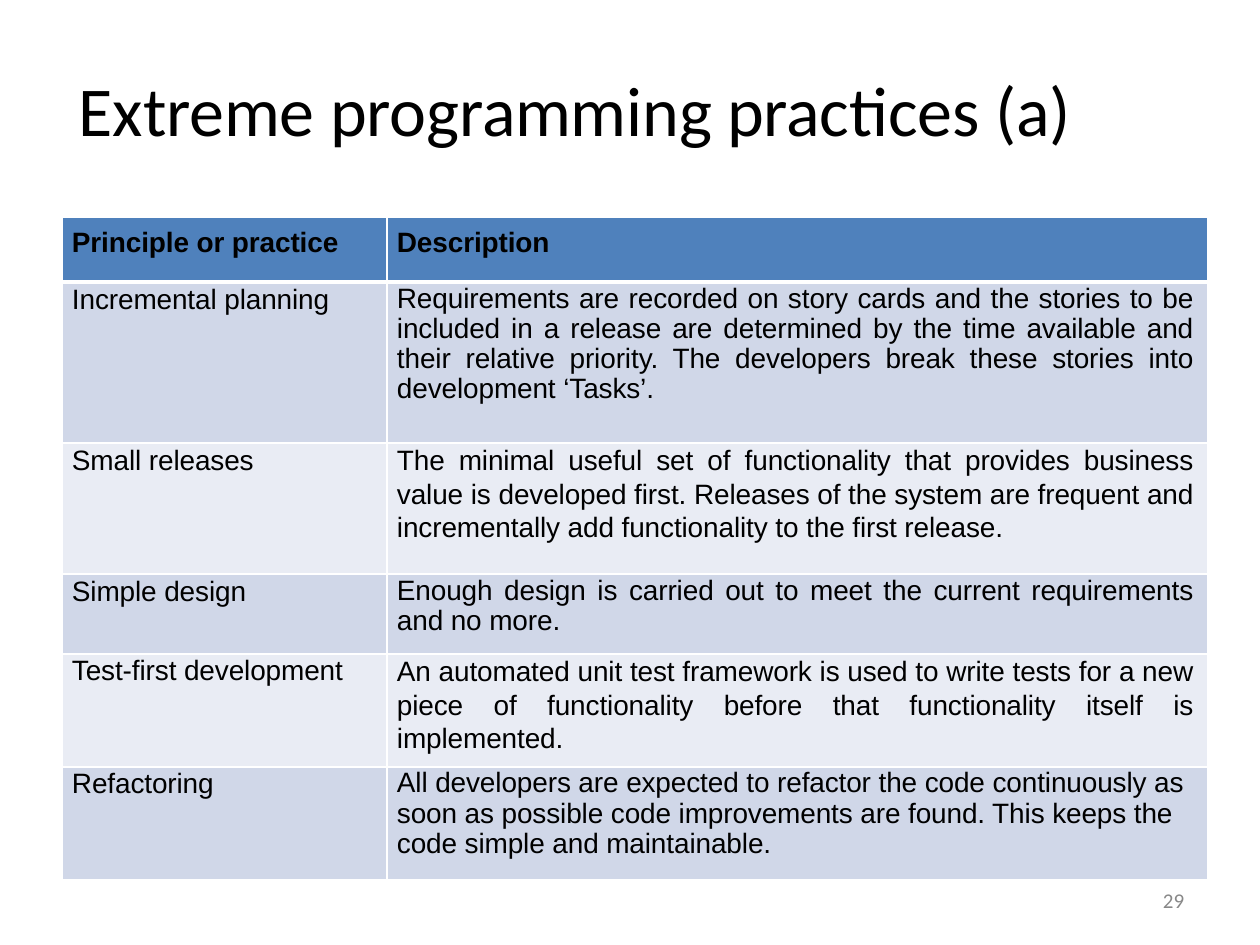
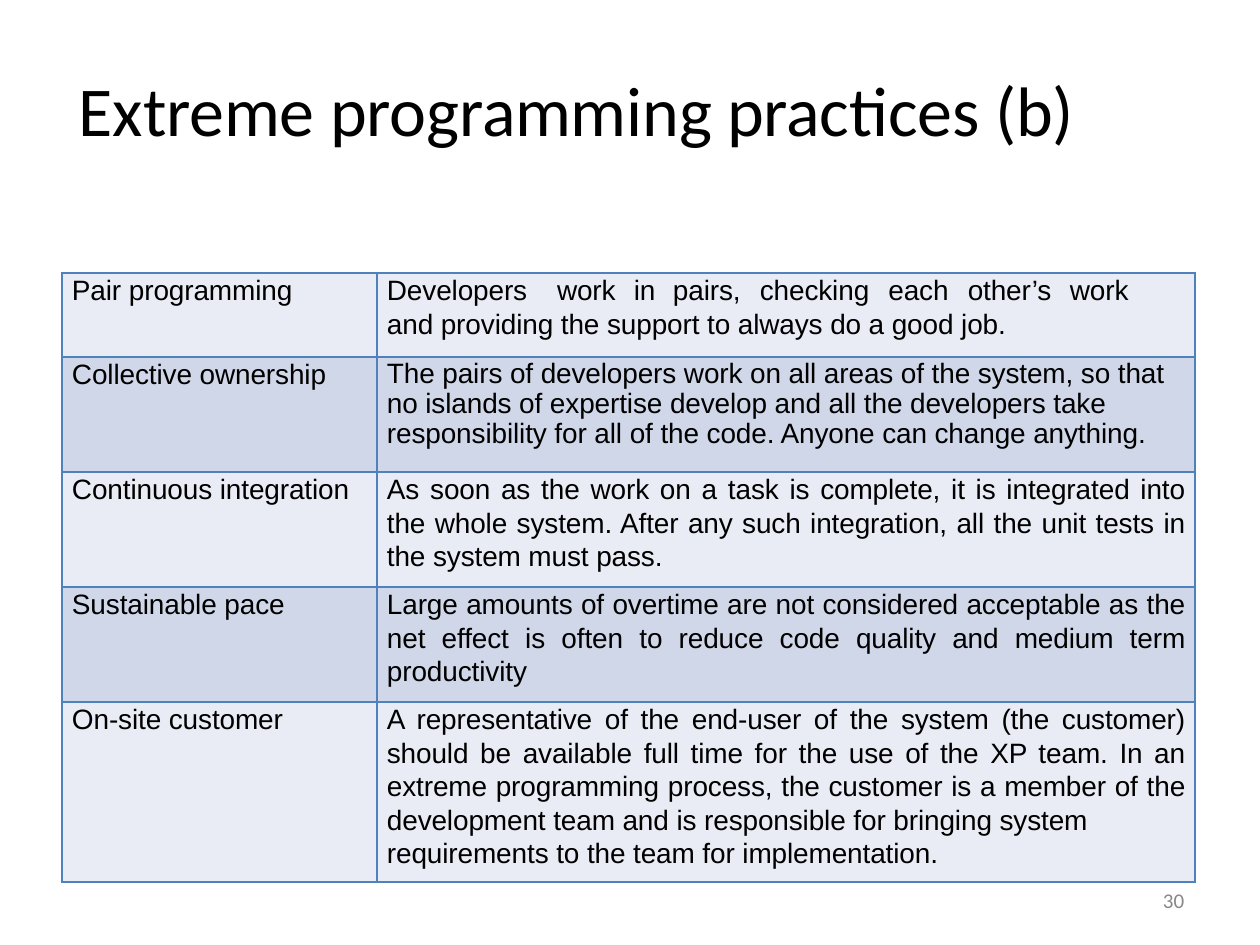
from lxml import etree
from pptx import Presentation
from pptx.dml.color import RGBColor
from pptx.enum import text
from pptx.oxml import ns
from pptx.util import Pt

PX = 914400 // 126
BLACK = RGBColor(0x00, 0x00, 0x00)
WHITE = RGBColor(0xFF, 0xFF, 0xFF)
GREY = RGBColor(0x88, 0x88, 0x88)
BLUE = RGBColor(0x4F, 0x81, 0xBC)
DARK_BAND = RGBColor(0xD0, 0xD7, 0xE8)
LIGHT_BAND = RGBColor(0xE9, 0xEC, 0xF4)

LEFT = text.PP_ALIGN.LEFT
JUSTIFY = text.PP_ALIGN.JUSTIFY
TIGHT = 0.97
LABEL = Pt(18.9)
LOOSE = Pt(19.2)
INDENT = 10
WORD_STOPS = (1.35, 1.96, 2.27, 2.96, 3.98, 4.61, 5.42)

PRACTICES_A = [
    ("Incremental planning", TIGHT, JUSTIFY,
     "Requirements are recorded on story cards and the stories to be "
     "included in a release are determined by the time available and "
     "their relative priority. The developers break these stories into "
     "development ‘Tasks’."),
    ("Small releases", LOOSE, JUSTIFY,
     "The minimal useful set of functionality that provides business "
     "value is developed first. Releases of the system are frequent "
     "and incrementally add functionality to the first release."),
    ("Simple design", TIGHT, JUSTIFY,
     "Enough design is carried out to meet the current requirements "
     "and no more."),
    ("Test-first development", LOOSE, JUSTIFY,
     "An automated unit test framework is used to write tests for a "
     "new piece of functionality before that functionality itself is "
     "implemented."),
    ("Refactoring", TIGHT, LEFT,
     "All developers are expected to refactor the code continuously as "
     "soon as possible code improvements are found. This keeps the "
     "code simple and maintainable."),
]
PRACTICES_B = [
    ("Pair programming", LOOSE, LEFT,
     "Developers\twork\tin\tpairs,\tchecking\teach\tother’s\twork\v"
     "and providing the support to always do a good job."),
    ("Collective ownership", TIGHT, LEFT,
     "The pairs of developers work on all areas of the system, so that "
     "no islands of expertise develop and all the developers take "
     "responsibility for all of the code. Anyone can change anything."),
    ("Continuous integration", LOOSE, JUSTIFY,
     "As soon as the work on a task is complete, it is integrated into "
     "the whole system. After any such integration, all the unit tests in "
     "the system must pass."),
    ("Sustainable pace", LOOSE, JUSTIFY,
     "Large amounts of overtime are not considered acceptable as "
     "the net effect is often to reduce code quality and medium term "
     "productivity"),
    ("On-site customer", LOOSE, JUSTIFY,
     "A representative of the end-user of the system (the customer) "
     "should be available full time for the use of the XP team. In an "
     "extreme programming process, the customer is a member of the "
     "development team and is responsible for bringing system\n"
     "requirements to the team for implementation."),
]


def add_tab_stops(para, stops):
    tab_list = etree.SubElement(para._p.get_or_add_pPr(), ns.qn("a:tabLst"))
    for stop in stops:
        etree.SubElement(tab_list, ns.qn("a:tab"), pos=str(round(stop * 914400)), algn="l")


def write(frame, content, size=16, font="Arial", color=BLACK, bold=False,
          align=LEFT, spacing=None, tracking=-5):
    frame.word_wrap = True
    for number, line in enumerate(content.split("\n")):
        para = frame.add_paragraph() if number else frame.paragraphs[0]
        para.text = line
        para.alignment = align
        para.line_spacing = spacing
        if "\t" in line:
            add_tab_stops(para, WORD_STOPS)
        for span in para.runs:
            span.font.size = Pt(size)
            span.font.name = font
            span.font.color.rgb = color
            span.font.bold = bold
            span._r.get_or_add_rPr().set("spc", str(tracking))


def add_text(page, box, content, inset_left=0, inset_top=0, **style):
    frame = page.shapes.add_textbox(*(side * PX for side in box)).text_frame
    frame.margin_left, frame.margin_top = inset_left * PX, inset_top * PX
    frame.margin_right = frame.margin_bottom = 0
    write(frame, content, **style)


def set_borders(cell, color, widths):
    properties = cell._tc.get_or_add_tcPr()
    for side, width in zip("LRTB", widths):
        line = etree.SubElement(properties, ns.qn(f"a:ln{side}"), w=str(Pt(width)))
        fill = etree.SubElement(line, ns.qn("a:solidFill"))
        etree.SubElement(fill, ns.qn("a:srgbClr"), val=str(color))


def format_cell(cell, content, fill, border, widths=(1, 1, 1, 1), top=0, right=0, **style):
    set_borders(cell, border, widths)
    cell.fill.solid()
    cell.fill.fore_color.rgb = fill
    cell.margin_left, cell.margin_right = INDENT * PX, right * PX
    cell.margin_top, cell.margin_bottom = top * PX, 0
    write(cell.text_frame, content, **style)


def add_practices(page, left, top, columns, heights, practices, bands, border,
                  right, header=()):
    frame = page.shapes.add_table(len(heights), len(columns), left * PX, top * PX,
                                  sum(columns) * PX, sum(heights) * PX)
    table = frame.table
    table.first_row = table.horz_banding = False
    for column, width in zip(table.columns, columns):
        column.width = width * PX
    for row, height in zip(table.rows, heights):
        row.height = height * PX
    for column, heading in enumerate(header):
        format_cell(table.cell(0, column), heading, BLUE, border,
                    widths=(1, 1, 1, 3), top=10, bold=True)
    first = 1 if header else 0
    for number, (name, spacing, align, description) in enumerate(practices):
        row = number + first
        look = dict(fill=bands[number % 2], border=border,
                    widths=(1, 1, 3 if header and number == 0 else 1, 1))
        format_cell(table.cell(row, 0), name, spacing=LABEL, **look)
        format_cell(table.cell(row, 1), description, spacing=spacing, align=align,
                    top=2 if spacing == TIGHT else 0, right=right, **look)


def add_page(deck, title, number):
    page = deck.slides.add_slide(deck.slide_layouts[6])
    add_text(page, (78, 64, 1106, 87), title, inset_left=1, inset_top=3,
             size=40, font="Calibri", tracking=-10)
    add_text(page, (1158, 891, 32, 24), number, inset_left=5,
             size=12, font="Calibri", color=GREY, spacing=Pt(12.4), tracking=0)
    return page


def main():
    deck = Presentation()
    deck.slide_width, deck.slide_height = 1260 * PX, 945 * PX
    page = add_page(deck, "Extreme programming practices (a)", "29")
    add_practices(page, 62, 217, (325, 821), (65, 161, 131, 80, 113, 113),
                  PRACTICES_A, (DARK_BAND, LIGHT_BAND), WHITE, right=14,
                  header=("Principle or practice", "Description"))
    page = add_page(deck, "Extreme programming practices (b)", "30")
    add_practices(page, 62, 273, (315, 818), (84, 115, 115, 115, 180),
                  PRACTICES_B, (LIGHT_BAND, DARK_BAND), BLUE, right=9)
    deck.save("out.pptx")


if __name__ == "__main__":
    main()
